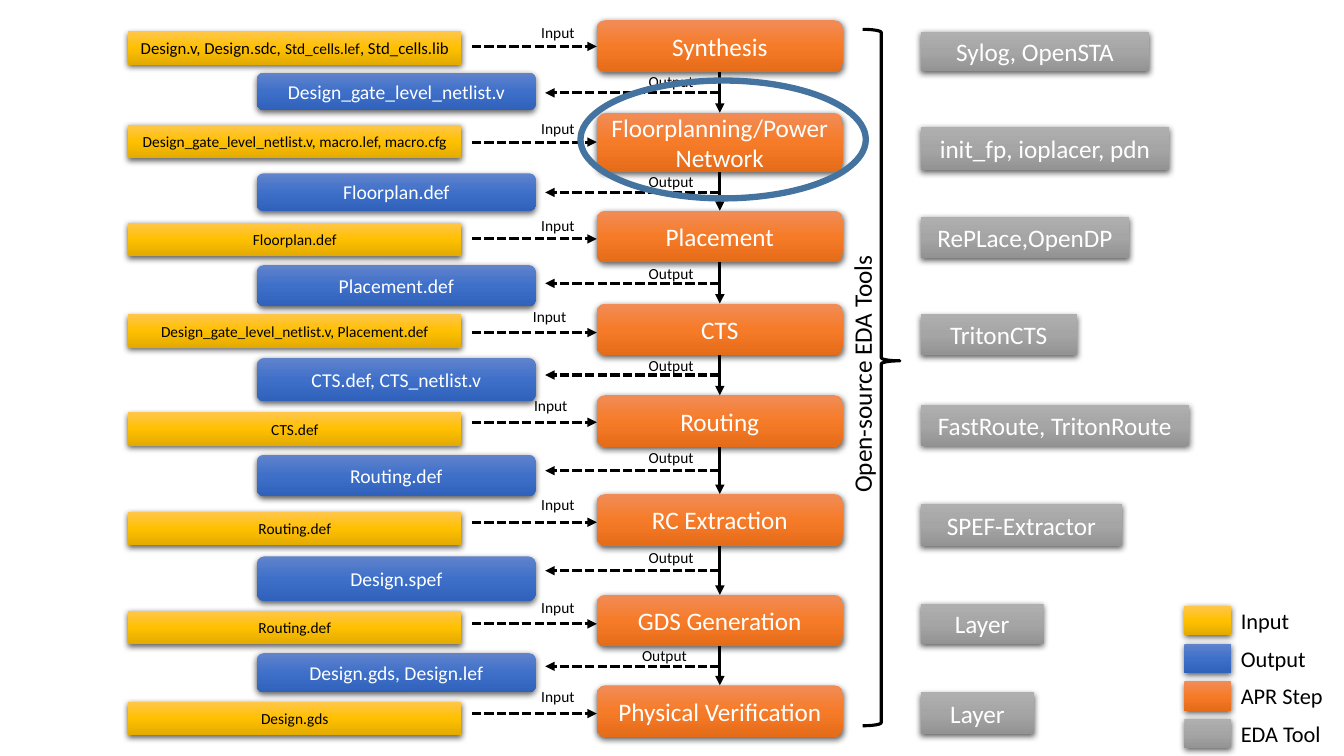
from copy import deepcopy

from lxml import etree
from pptx import Presentation
from pptx.dml.color import RGBColor
from pptx.enum.dml import MSO_LINE
from pptx.enum.shapes import MSO_CONNECTOR, MSO_SHAPE
from pptx.enum.text import MSO_ANCHOR, PP_ALIGN
from pptx.oxml import parse_xml
from pptx.oxml.ns import nsdecls, qn
from pptx.util import Cm, Pt

RECTANGLE = MSO_SHAPE.RECTANGLE
ROUNDED = MSO_SHAPE.ROUNDED_RECTANGLE
BRACE = MSO_SHAPE.RIGHT_BRACE
OVAL = MSO_SHAPE.OVAL
STRAIGHT = MSO_CONNECTOR.STRAIGHT
DASHED = MSO_LINE.SQUARE_DOT
MIDDLE = MSO_ANCHOR.MIDDLE
TOP = MSO_ANCHOR.TOP
CENTER = PP_ALIGN.CENTER
LEFT = PP_ALIGN.LEFT

COLORS = {"black": "000000", "white": "FFFFFF", "ring": "43739E"}
GRADIENTS = {
    "input": ("FFC64B", "FFC000", "E3AB00"),
    "output": ("6183CB", "3E70CA", "3062BB"),
    "step": ("F18C57", "F67B28", "E56C19"),
    "tool": ("AFAFAF", "A5A5A5", "939393"),
}
SHADOW = (
    f'<a:outerShdw {nsdecls("a")} blurRad="57150" dist="19050" dir="5400000" '
    'algn="ctr" rotWithShape="0"><a:srgbClr val="000000">'
    '<a:alpha val="63000"/></a:srgbClr></a:outerShdw>'
)

STEP_LEFT, STEP_WIDTH, STEP_HEIGHT = 15.04, 6.2, 1.3
STEP_CENTER = STEP_LEFT + STEP_WIDTH / 2
TOOL_LEFT = 23.2

STEPS = [
    ("Synthesis", 0.51, STEP_HEIGHT),
    ("Floorplanning/Power Network", 2.84, 1.5),
    ("Placement", 5.31, STEP_HEIGHT),
    ("CTS", 7.65, STEP_HEIGHT),
    ("Routing", 9.96, STEP_HEIGHT),
    ("RC Extraction", 12.45, STEP_HEIGHT),
    ("GDS Generation", 14.99, STEP_HEIGHT),
    ("Physical Verification", 17.27, STEP_HEIGHT),
]
TOOLS = [
    ("Sylog, OpenSTA", 0.81, 5.77, 0.99),
    ("init_fp, ioplacer, pdn", 3.2, 6.27, 1.09),
    ("RePLace,OpenDP", 5.46, 5.26, 1.04),
    ("TritonCTS", 7.92, 3.94, 1.02),
    ("FastRoute, TritonRoute", 10.21, 6.76, 1.02),
    ("SPEF-Extractor", 12.7, 5.08, 1.07),
    ("Layer", 15.21, 3.1, 1.02),
    ("Layer", 17.45, 2.87, 1.04),
]
INPUTS = [
    ([("Design.v, Design.sdc, ", 12), ("Std_cells.lef", 11), (", Std_cells.lib", 12)],
     0.79, 1.17, 13.39, 0.46),
    ([("Design_gate_level_netlist.v, macro.lef, macro.cfg", 11)], 3.15, 3.58, 13.39, 2.87),
    ([("Floorplan.def", 11)], 5.61, 6.02, 13.39, 5.31),
    ([("Design_gate_level_netlist.v, Placement.def", 11)], 7.92, 8.38, 13.18, 7.62),
    ([("CTS.def", 11)], 10.39, 10.64, 13.21, 9.86),
    ([("Routing.def", 11)], 12.9, 13.16, 13.39, 12.34),
    ([("Routing.def", 11)], 15.39, 15.72, 13.39, 14.94),
    ([("Design.gds", 11)], 17.68, 17.98, 13.39, 17.2),
]
OUTPUTS = [
    ("Design_gate_level_netlist.v", 1.83, 0.94, 2.34, 16.1, 1.7),
    ("Floorplan.def", 4.37, 0.94, 4.85, 16.1, 4.22),
    ("Placement.def", 6.68, 1.04, 7.14, 16.1, 6.53),
    ("CTS.def, CTS_netlist.v", 9.02, 1.09, 9.45, 16.1, 8.84),
    ("Routing.def", 11.46, 1.04, 11.86, 16.1, 11.18),
    ("Design.spef", 14.02, 1.12, 14.38, 16.1, 13.69),
    ("Design.gds, Design.lef", 16.46, 0.99, 16.79, 15.93, 16.15),
]
LEGEND = [("Input", "input"), ("Output", "output"), ("APR Step", "step"), ("EDA Tool", "tool")]


def apply_format(target, values):
    for name, value in values.items():
        setattr(target, name, value)


class FlowSlide:
    font = "Calibri"

    def __init__(self, slide):
        self.slide = slide

    def fill_text(self, shape, runs, color, align, anchor):
        apply_format(shape.text_frame, {"word_wrap": True, "vertical_anchor": anchor})
        paragraph = shape.text_frame.paragraphs[0]
        paragraph.alignment = align
        for text, size in runs:
            run = paragraph.add_run()
            run.text = text
            apply_format(run.font, {"name": self.font, "size": Pt(size)})
            run.font.color.rgb = RGBColor.from_string(COLORS[color])

    def box(self, kind, gradient, left, top, width, height, runs=(), color="white"):
        shape = self.slide.shapes.add_shape(kind, Cm(left), Cm(top), Cm(width), Cm(height))
        shape.line.fill.background()
        shape.fill.gradient()
        shape.fill.gradient_angle = 270
        stops = shape._element.spPr.find(qn("a:gradFill")).find(qn("a:gsLst"))
        stops.append(deepcopy(stops[0]))
        for index, value in enumerate(GRADIENTS[gradient]):
            stop = shape.fill.gradient_stops[index]
            stop.position = index / 2
            stop.color.rgb = RGBColor.from_string(value)
        shape.shadow.inherit = False
        shape._element.spPr.find(qn("a:effectLst")).append(parse_xml(SHADOW))
        self.fill_text(shape, runs, color, CENTER, MIDDLE)

    def outline(self, kind, left, top, width, height, color, weight, adjustments=()):
        shape = self.slide.shapes.add_shape(kind, Cm(left), Cm(top), Cm(width), Cm(height))
        shape.fill.background()
        shape.shadow.inherit = False
        shape.line.color.rgb = RGBColor.from_string(COLORS[color])
        shape.line.width = Pt(weight)
        for index, value in enumerate(adjustments):
            shape.adjustments[index] = value

    def label(self, text, left, top, width, height, size, rotation=0):
        shape = self.slide.shapes.add_textbox(Cm(left), Cm(top), Cm(width), Cm(height))
        shape.rotation = rotation
        self.fill_text(shape, [(text, size)], "black", LEFT, TOP)

    def arrow(self, start_x, start_y, end_x, end_y, dash=None):
        connector = self.slide.shapes.add_connector(
            STRAIGHT, Cm(start_x), Cm(start_y), Cm(end_x), Cm(end_y))
        connector.line.color.rgb = RGBColor.from_string(COLORS["black"])
        apply_format(connector.line, {"width": Pt(2.25), "dash_style": dash})
        properties = connector._element.spPr
        etree.SubElement(properties.find(qn("a:ln")), qn("a:tailEnd"), type="triangle")
        etree.SubElement(properties, qn("a:effectLst"))


def main():
    presentation = Presentation()
    apply_format(presentation, {"slide_width": Cm(33.87), "slide_height": Cm(19.05)})
    flow = FlowSlide(presentation.slides.add_slide(presentation.slide_layouts[6]))

    for name, top, height in STEPS:
        flow.box(ROUNDED, "step", STEP_LEFT, top, STEP_WIDTH, height, [(name, 18)])
    for name, top, width, height in TOOLS:
        flow.box(RECTANGLE, "tool", TOOL_LEFT, top, width, height, [(name, 18)])

    flow.outline(BRACE, 21.74, 0.74, 0.94, 17.55, "black", 2.25, (0.083, 0.476))
    flow.label("Open-source EDA Tools", 16.76, 7.19, 9.93, 1.02, 18, 270)

    for (_, top, height), (_, next_top, _) in zip(STEPS, STEPS[1:]):
        flow.arrow(STEP_CENTER, top + height, STEP_CENTER, next_top)
    for runs, top, arrow_y, label_left, label_top in INPUTS:
        flow.arrow(11.89, arrow_y, STEP_LEFT, arrow_y, DASHED)
        flow.label("Input", label_left, label_top, 1.65, 0.73, 11)
        flow.box(RECTANGLE, "input", 3.23, top, 8.4, 0.84, runs, "black")
    for name, top, height, arrow_y, label_left, label_top in OUTPUTS:
        flow.arrow(STEP_CENTER, arrow_y, 13.74, arrow_y, DASHED)
        flow.label("Output", label_left, label_top, 2.29, 0.73, 11)
        flow.box(ROUNDED, "output", 6.48, top, 7.02, height, [(name, 14)])

    for index, (name, gradient) in enumerate(LEGEND):
        top = 15.27 + 0.95 * index
        flow.box(RECTANGLE, gradient, 29.85, top, 1.17, 0.74)
        flow.label(name, 31.02, top - 0.1, 2.85, 0.94, 16)

    flow.outline(OVAL, 14.63, 2.03, 7.19, 2.97, "ring", 4.5)
    presentation.save("out.pptx")


if __name__ == "__main__":
    main()
